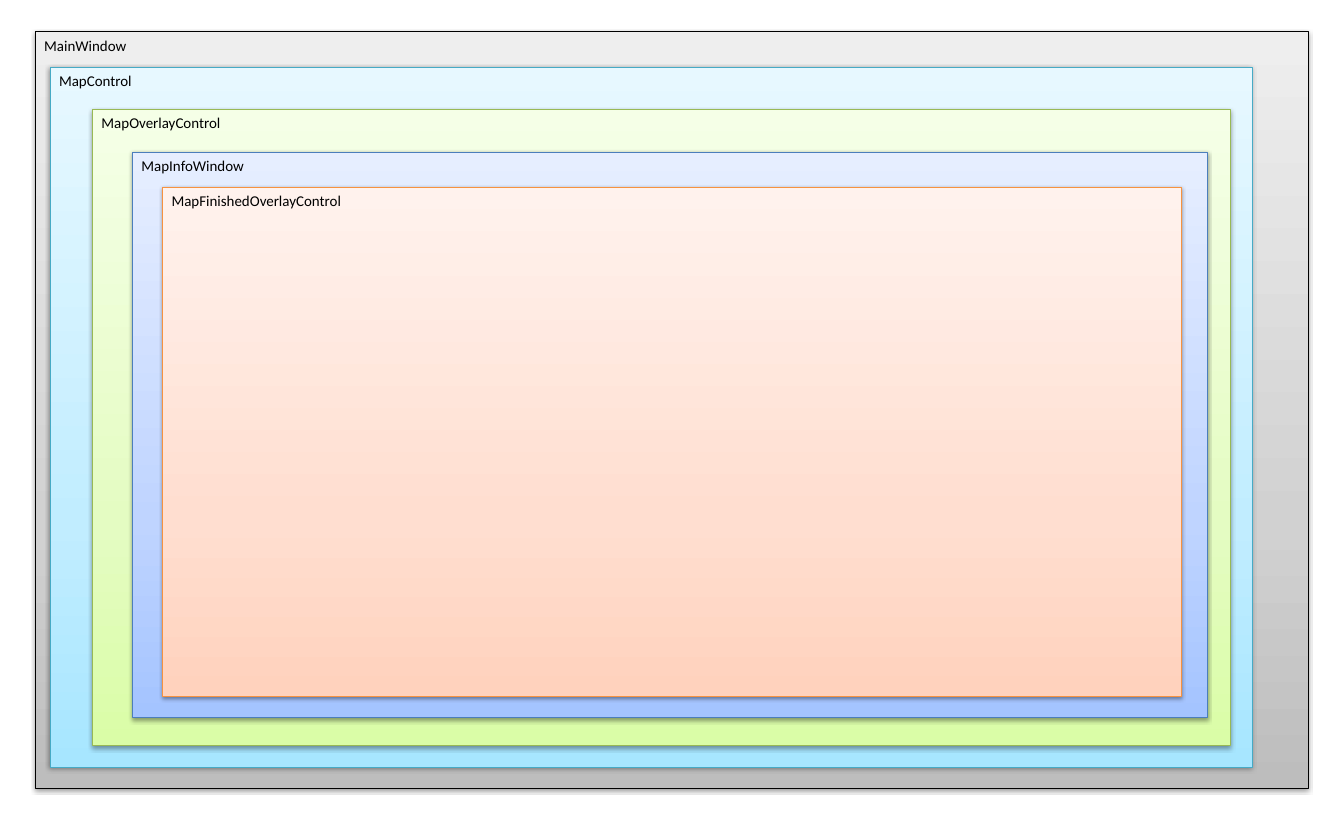
import copy
from dataclasses import dataclass

import pptx
import pptx.dml.color
import pptx.enum.shapes
import pptx.enum.text
import pptx.oxml
import pptx.oxml.ns
import pptx.util

SLIDE_SIZE = (3800, 2300)
EMU_PER_PX = 3600

WINDOWS = [
    ("MainWindow", (100, 90, 3600, 2140), "gray"),
    ("MapControl", (142, 190, 3400, 1980), "aqua"),
    ("MapOverlayControl ", (262, 310, 3218, 1800), "green"),
    ("MapInfoWindow ", (375, 431, 3038, 1600), "blue"),
    ("MapFinishedOverlayControl ", (460, 530, 2880, 1440), "orange"),
]


@dataclass(frozen=True)
class Theme:
    font: str = "Calibri"
    label_size: int = 12
    label_color: str = "000000"
    border_width: float = 0.75
    gradient_positions: tuple = (0, 0.35, 1)
    gradient_angle: int = 90
    shadow_blur: float = 3.1
    shadow_distance: float = 1.6
    shadow_opacity: int = 38


THEME = Theme()
PALETTES = {
    "gray": ("000000", ("BDBDBD", "D1D1D1", "EEEEEE")),
    "aqua": ("46AAC5", ("A7E6FF", "C1EDFF", "E7F8FF")),
    "green": ("98B955", ("DAFDA7", "E4FCC2", "F5FFE7")),
    "blue": ("4B7EBC", ("A4C4FF", "BFD4FF", "E6EEFF")),
    "orange": ("F69240", ("FFD2BD", "FFDED0", "FFF2ED")),
}


def px(length):
    return pptx.util.Emu(length * EMU_PER_PX)


def rgb(color):
    return pptx.dml.color.RGBColor.from_string(color)


def fill_gradient(window, colors):
    window.fill.gradient()
    window.fill.gradient_angle = THEME.gradient_angle
    stop_list = window._element.spPr.find(".//" + pptx.oxml.ns.qn("a:gsLst"))
    stop_list.append(copy.deepcopy(stop_list[-1]))
    stops = window.fill.gradient_stops
    for stop, position, color in zip(stops, THEME.gradient_positions, colors):
        stop.position = position
        stop.color.rgb = rgb(color)


def cast_shadow(window):
    window.shadow.inherit = False
    effects = window._element.spPr.find(pptx.oxml.ns.qn("a:effectLst"))
    effects.append(pptx.oxml.parse_xml(
        f'<a:outerShdw {pptx.oxml.ns.nsdecls("a")}'
        f' blurRad="{pptx.util.Pt(THEME.shadow_blur)}"'
        f' dist="{pptx.util.Pt(THEME.shadow_distance)}"'
        ' dir="5400000" rotWithShape="0"><a:srgbClr val="000000">'
        f'<a:alpha val="{THEME.shadow_opacity * 1000}"/>'
        '</a:srgbClr></a:outerShdw>'
    ))


def write_label(window, label):
    frame = window.text_frame
    frame.text = label
    frame.word_wrap = True
    frame.vertical_anchor = pptx.enum.text.MSO_ANCHOR.TOP
    paragraph = frame.paragraphs[0]
    paragraph.alignment = pptx.enum.text.PP_ALIGN.LEFT
    font = paragraph.runs[0].font
    font.name = THEME.font
    font.size = pptx.util.Pt(THEME.label_size)
    font.color.rgb = rgb(THEME.label_color)


def add_window(slide, label, box, palette):
    border, colors = PALETTES[palette]
    window = slide.shapes.add_shape(
        pptx.enum.shapes.MSO_SHAPE.RECTANGLE, *map(px, box)
    )
    fill_gradient(window, colors)
    window.line.color.rgb = rgb(border)
    window.line.width = pptx.util.Pt(THEME.border_width)
    cast_shadow(window)
    write_label(window, label)


def main():
    deck = pptx.Presentation()
    deck.slide_width, deck.slide_height = map(px, SLIDE_SIZE)
    slide = deck.slides.add_slide(deck.slide_layouts.get_by_name("Blank"))
    for label, box, palette in WINDOWS:
        add_window(slide, label, box, palette)
    deck.save("out.pptx")


if __name__ == "__main__":
    main()
